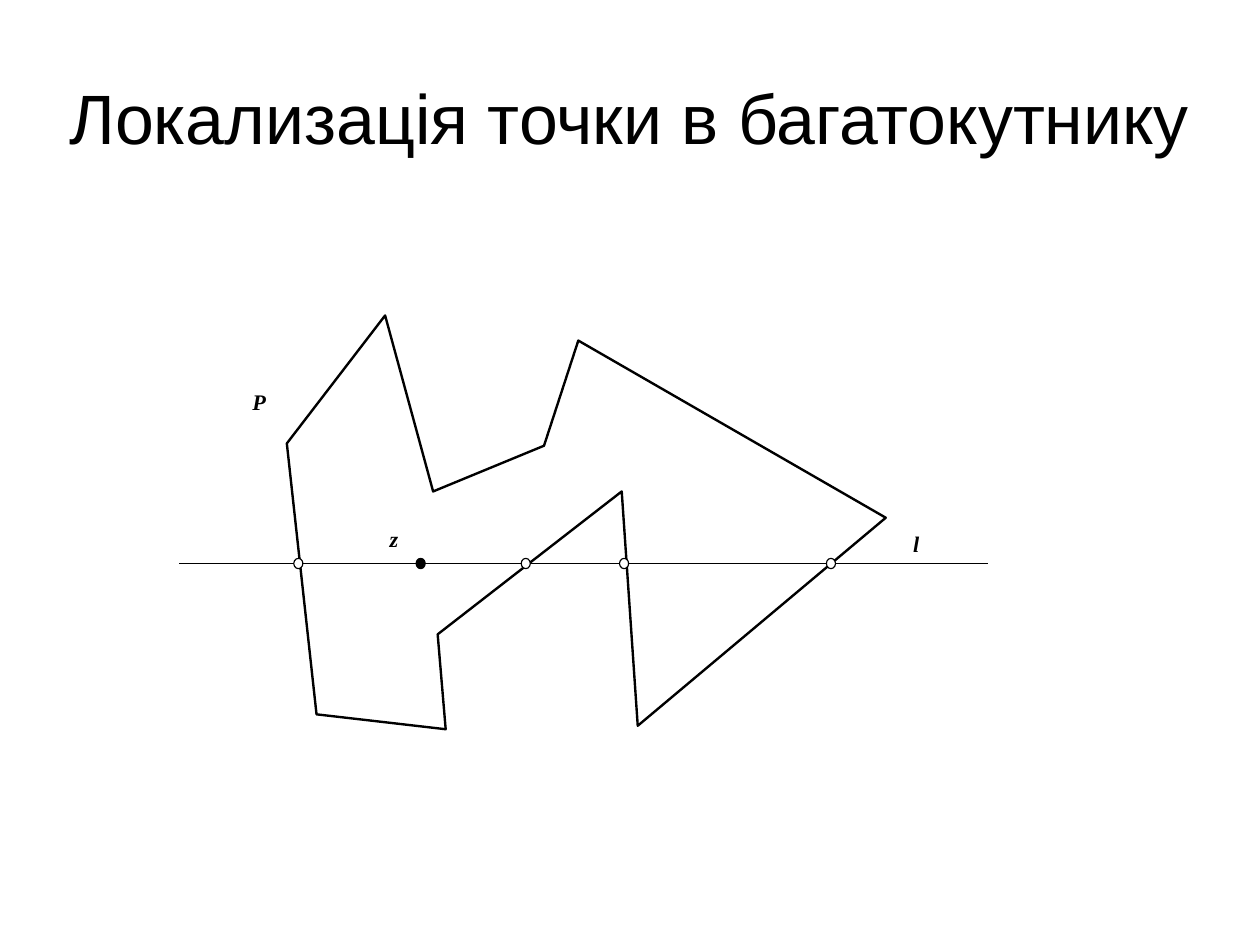
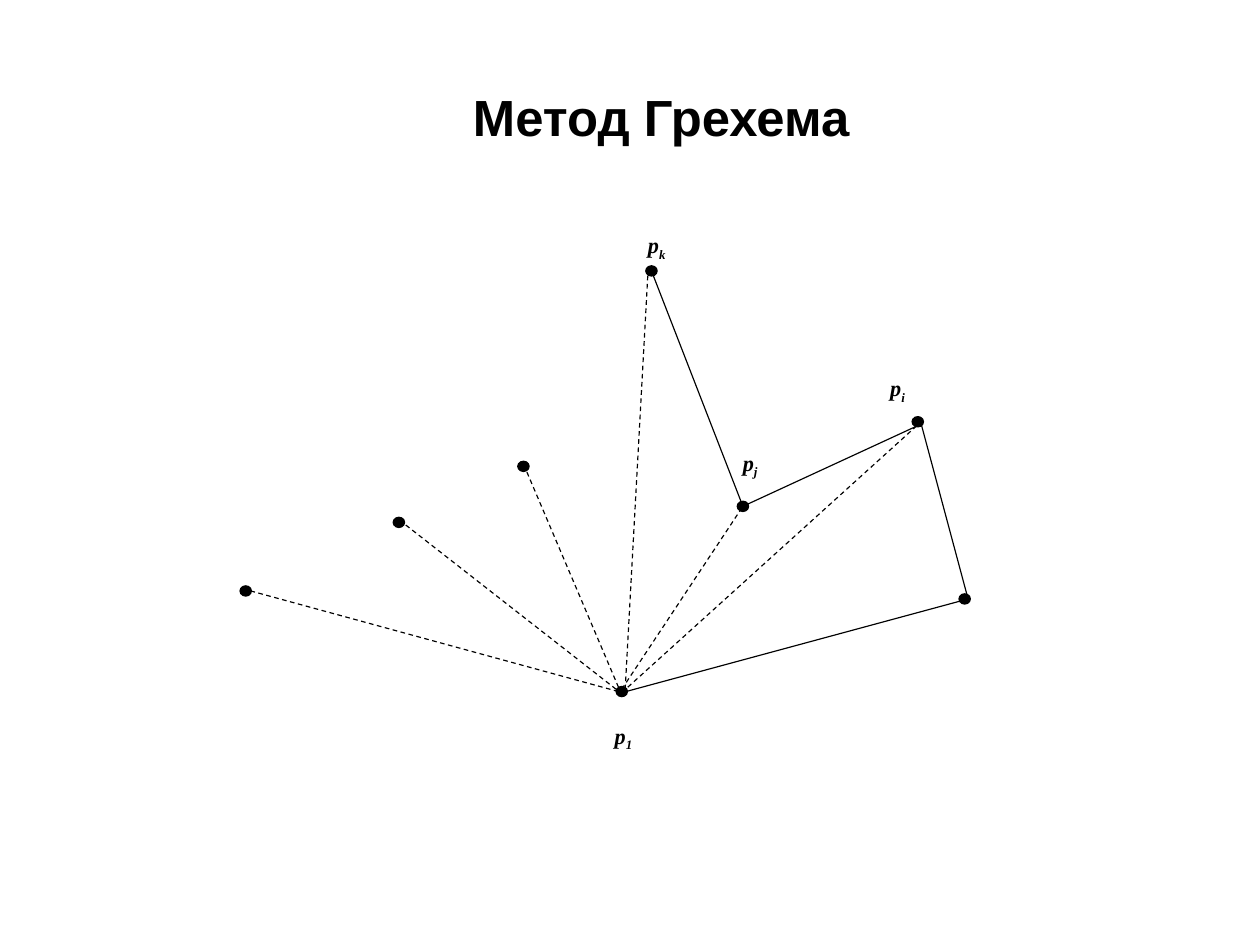
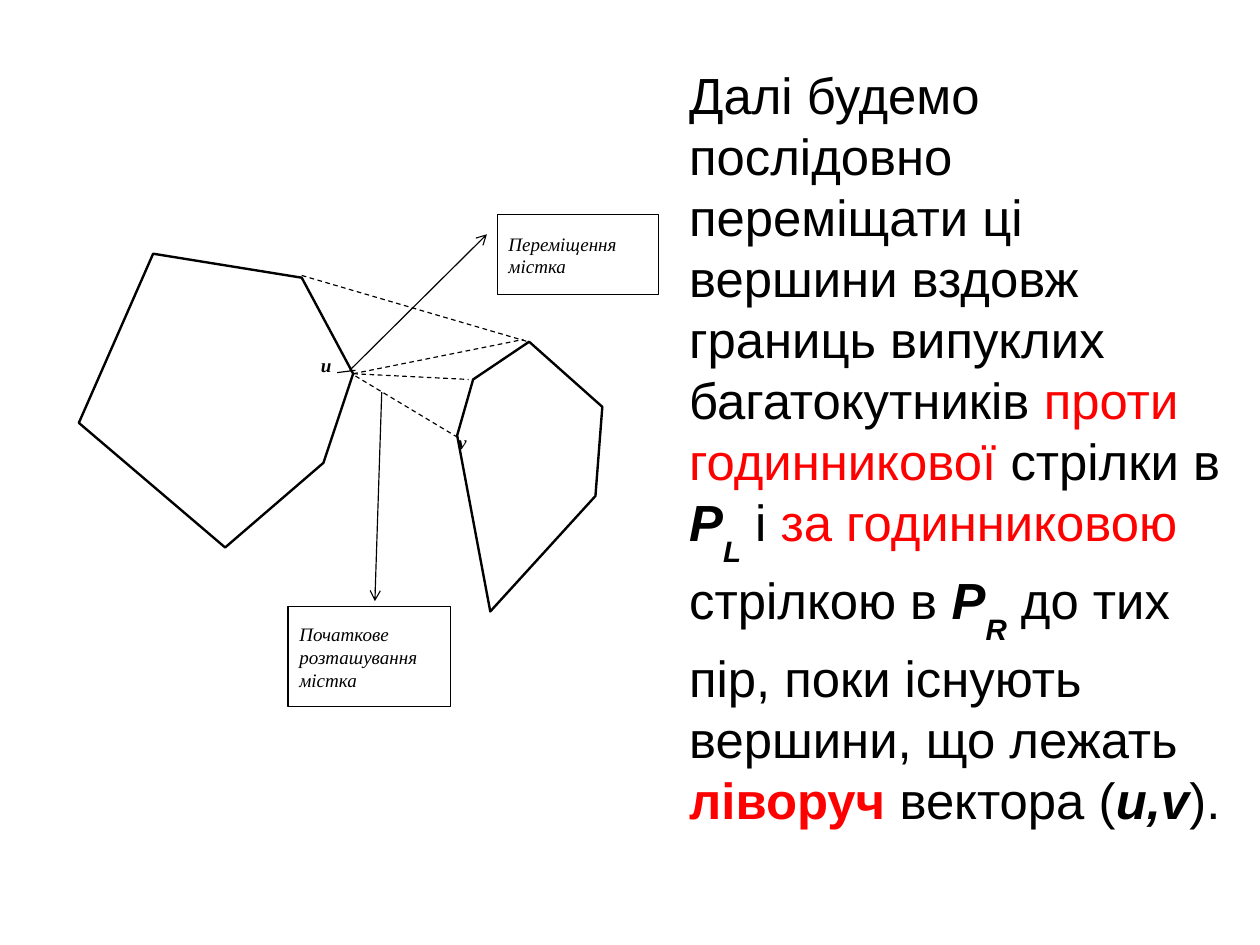
from dataclasses import dataclass, field
from typing import Any, Optional

from lxml import etree
from pptx import Presentation
from pptx.dml.color import RGBColor
from pptx.enum.dml import MSO_LINE
from pptx.enum.shapes import MSO_CONNECTOR, MSO_SHAPE
from pptx.enum.text import MSO_ANCHOR, PP_ALIGN
from pptx.oxml.ns import qn
from pptx.util import Inches, Pt

STRAIGHT = MSO_CONNECTOR.STRAIGHT
DASHED = MSO_LINE.DASH
OVAL = MSO_SHAPE.OVAL
RECTANGLE = MSO_SHAPE.RECTANGLE
MIDDLE = MSO_ANCHOR.MIDDLE
LEFT = PP_ALIGN.LEFT
CENTER = PP_ALIGN.CENTER

CM_PER_INCH = 2.54
SLIDE_WIDTH = Inches(28 / CM_PER_INCH)
SLIDE_HEIGHT = Inches(21 / CM_PER_INCH)

Point = tuple[float, float]
Box = tuple[float, float, float, float]


@dataclass(frozen=True)
class Theme:
    black: RGBColor = RGBColor(0, 0, 0)
    white: RGBColor = RGBColor(255, 255, 255)
    red: RGBColor = RGBColor(255, 0, 0)
    heading_font: str = "Arial"
    label_font: str = "Times New Roman"
    title_size: float = 44
    body_size: float = 32
    label_size: float = 14
    small_size: float = 12
    thin: float = 0.75
    thick: float = 1.5
    text_inset: float = 0.1


THEME = Theme()


@dataclass(frozen=True)
class Run:
    text: str
    style: dict[str, Any] = field(default_factory=dict)
    color: RGBColor = THEME.black
    baseline: int = 0


@dataclass(frozen=True)
class Label:
    box: Box
    text: str
    subscript: str = ""
    size: float = THEME.label_size


@dataclass(frozen=True)
class Callout:
    box: Box
    text: str
    leader_start: Point
    leader_tip: Point


BOLD = {"bold": True}
ITALIC = {"italic": True}
BOLD_ITALIC = BOLD | ITALIC
HEADING = {"name": THEME.heading_font, "size": Pt(THEME.body_size)}


def fill_text(shape: Any, runs: list[Run], style: dict[str, Any], inset: float = THEME.text_inset,
              alignment: PP_ALIGN = LEFT) -> Any:
    """Write one vertically centred paragraph and return it."""
    frame = shape.text_frame
    frame_format = {"word_wrap": True, "vertical_anchor": MIDDLE, "margin_left": Inches(inset),
                    "margin_right": Inches(inset), "margin_top": Inches(inset / 2),
                    "margin_bottom": Inches(inset / 2)}
    for name, value in frame_format.items():
        setattr(frame, name, value)
    paragraph = frame.paragraphs[0]
    paragraph.alignment = alignment
    for item in runs:
        run = paragraph.add_run()
        run.text = item.text
        for name, value in (style | item.style).items():
            setattr(run.font, name, value)
        run.font.color.rgb = item.color
        if item.baseline:
            run.font._element.set("baseline", str(item.baseline * 1000))
    return paragraph


def add_text_box(slide: Any, box: Box) -> Any:
    return slide.shapes.add_textbox(*map(Inches, box))


def add_title(slide: Any, box: Box, text: str, style: dict[str, Any], indent: float = 0) -> None:
    shape = add_text_box(slide, box)
    fill_text(shape, [Run(text)], HEADING | style, 0, CENTER)
    shape.text_frame.margin_left = Inches(indent)


def add_label(slide: Any, label: Label) -> None:
    runs = [Run(label.text)]
    if label.subscript:
        runs.append(Run(label.subscript, baseline=-25))
    style = BOLD_ITALIC | {"name": THEME.label_font, "size": Pt(label.size)}
    fill_text(add_text_box(slide, label.box), runs, style)


def outline(shape: Any, width: float, fill: Optional[RGBColor]) -> None:
    shape.shadow.inherit = False
    shape.line.color.rgb = THEME.black
    shape.line.width = Pt(width)
    if fill is None:
        shape.fill.background()
    else:
        shape.fill.solid()
        shape.fill.fore_color.rgb = fill


def add_path(slide: Any, points: list[Point], closed: bool = True) -> None:
    """Draw a thick filled polygon, or a thin open polyline."""
    corners = [(Inches(x), Inches(y)) for x, y in points]
    builder = slide.shapes.build_freeform(*corners[0])
    builder.add_line_segments(corners[1:], close=closed)
    outline(builder.convert_to_shape(), THEME.thick if closed else THEME.thin,
            THEME.white if closed else None)


def add_dot(slide: Any, center: Point, width: float, fill: RGBColor) -> None:
    height = 0.09
    left, top = center[0] - width / 2, center[1] - height / 2
    dot = slide.shapes.add_shape(OVAL, *map(Inches, (left, top, width, height)))
    outline(dot, THEME.thin, fill)


def add_line(slide: Any, start: Point, end: Point, dashed: bool = False, arrow: bool = False) -> None:
    connector = slide.shapes.add_connector(STRAIGHT, *map(Inches, start + end))
    line = connector.line
    line.color.rgb = THEME.black
    line.width = Pt(THEME.thin)
    if dashed:
        line.dash_style = DASHED
    properties = connector._element.spPr
    if arrow:
        etree.SubElement(properties.find(qn("a:ln")), qn("a:tailEnd"), type="arrow")
    etree.SubElement(properties, qn("a:effectLst"))


def add_callout(slide: Any, callout: Callout) -> None:
    shape = slide.shapes.add_shape(RECTANGLE, *map(Inches, callout.box))
    outline(shape, THEME.thin, THEME.white)
    style = ITALIC | {"name": THEME.label_font, "size": Pt(THEME.small_size)}
    fill_text(shape, [Run(callout.text)], style)
    add_line(slide, callout.leader_start, callout.leader_tip, arrow=True)


def build_point_location(slide: Any) -> None:
    add_title(slide, (0.55, 0.33, 9.92, 1.38), "Локализація точки в багатокутнику",
              {"size": Pt(THEME.title_size)})
    add_path(slide, [(2.51, 3.88), (3.37, 2.76), (3.79, 4.3), (4.76, 3.9), (5.06, 2.98), (7.75, 4.53),
                     (5.58, 6.35), (5.44, 4.3), (3.83, 5.55), (3.9, 6.38), (2.77, 6.25)])
    line_y, dot_width = 4.93, 0.08
    add_dot(slide, (3.68, line_y), dot_width, THEME.black)
    add_line(slide, (1.57, line_y), (8.64, line_y))
    for crossing_x in (2.61, 4.6, 5.46, 7.27):
        add_dot(slide, (crossing_x, line_y), dot_width, THEME.white)
    for text, left, top in (("P", 2.11, 3.05), ("z", 3.31, 4.25), ("l", 7.89, 4.3)):
        add_label(slide, Label((left, top, 0.88, 0.92), text))


def build_graham_scan(slide: Any) -> None:
    add_title(slide, (0.55, 0.75, 9.92, 0.54), "Метод Грехема", BOLD, indent=0.55)
    for center in ((5.44, 6.05), (8.44, 5.24), (8.03, 3.69), (6.5, 4.43),
                   (5.7, 2.37), (4.58, 4.08), (3.49, 4.57), (2.15, 5.17)):
        add_dot(slide, center, 0.1, THEME.black)
    add_path(slide, [(5.44, 6.06), (8.47, 5.24), (8.06, 3.71), (6.5, 4.43), (5.7, 2.37)], closed=False)
    for start, end in (((5.44, 6.06), (8.06, 3.69)), ((5.44, 6.03), (6.48, 4.46)),
                       ((5.47, 6.03), (5.67, 2.37)), ((5.44, 6.08), (4.58, 4.06)),
                       ((5.39, 6.03), (3.52, 4.57)), ((5.41, 6.05), (2.12, 5.15))):
        add_line(slide, start, end, dashed=True)
    for subscript, left, top in (("1", 5.28, 6.01), ("i", 7.69, 2.97),
                                 ("j", 6.4, 3.62), ("k", 5.57, 1.72)):
        add_label(slide, Label((left, top, 1.35, 0.88), "p", subscript))


def build_bridge_search(slide: Any) -> None:
    runs = [
        Run("Далі будемо послідовно переміщати ці вершини вздовж границь випуклих багатокутників "),
        Run("проти годинникової", color=THEME.red),
        Run(" стрілки в "),
        Run("P", BOLD_ITALIC),
        Run("L", BOLD_ITALIC, baseline=-42),
        Run(" і "),
        Run("за годинниковою", color=THEME.red),
        Run(" стрілкою в "),
        Run("P", BOLD_ITALIC),
        Run("R", BOLD_ITALIC, baseline=-42),
        Run(" до тих пір, поки існують вершини, що лежать "),
        Run("ліворуч", BOLD, THEME.red),
        Run(" вектора ("),
        Run("u,v", BOLD_ITALIC),
        Run(")."),
    ]
    paragraph = fill_text(add_text_box(slide, (6.03, 0.73, 4.83, 6.35)), runs, HEADING, 0)
    paragraph.space_after = Pt(14.2)

    add_path(slide, [(1.34, 2.22), (2.64, 2.43), (3.09, 3.27), (2.83, 4.05), (1.97, 4.79), (0.69, 3.7)])
    add_path(slide, [(4, 3.81), (4.14, 3.32), (4.63, 2.99), (5.27, 3.56), (5.21, 4.34), (4.29, 5.35)])
    for start, end in (((2.64, 2.41), (4.62, 2.99)), ((3.11, 3.29), (4.01, 3.83)),
                       ((3.09, 3.27), (4.1, 3.32)), ((3.09, 3.27), (4.58, 2.97))):
        add_line(slide, start, end, dashed=True)
    for text, left, top in (("u", 2.71, 3.01), ("v", 3.91, 3.68)):
        add_label(slide, Label((left, top, 0.39, 0.37), text, size=THEME.small_size))
    add_callout(slide, Callout((2.52, 5.31, 1.42, 0.87), "Початкове розташування містка",
                               (3.34, 3.43), (3.28, 5.26)))
    add_callout(slide, Callout((4.35, 1.88, 1.41, 0.7), "Переміщення містка",
                               (3.06, 3.24), (4.26, 2.05)))
    add_line(slide, (3.11, 3.24), (2.95, 3.26))


def main() -> None:
    presentation = Presentation()
    presentation.slide_width = SLIDE_WIDTH
    presentation.slide_height = SLIDE_HEIGHT
    blank_layout = presentation.slide_layouts[6]
    for build in (build_point_location, build_graham_scan, build_bridge_search):
        build(presentation.slides.add_slide(blank_layout))
    presentation.save("out.pptx")


if __name__ == "__main__":
    main()
